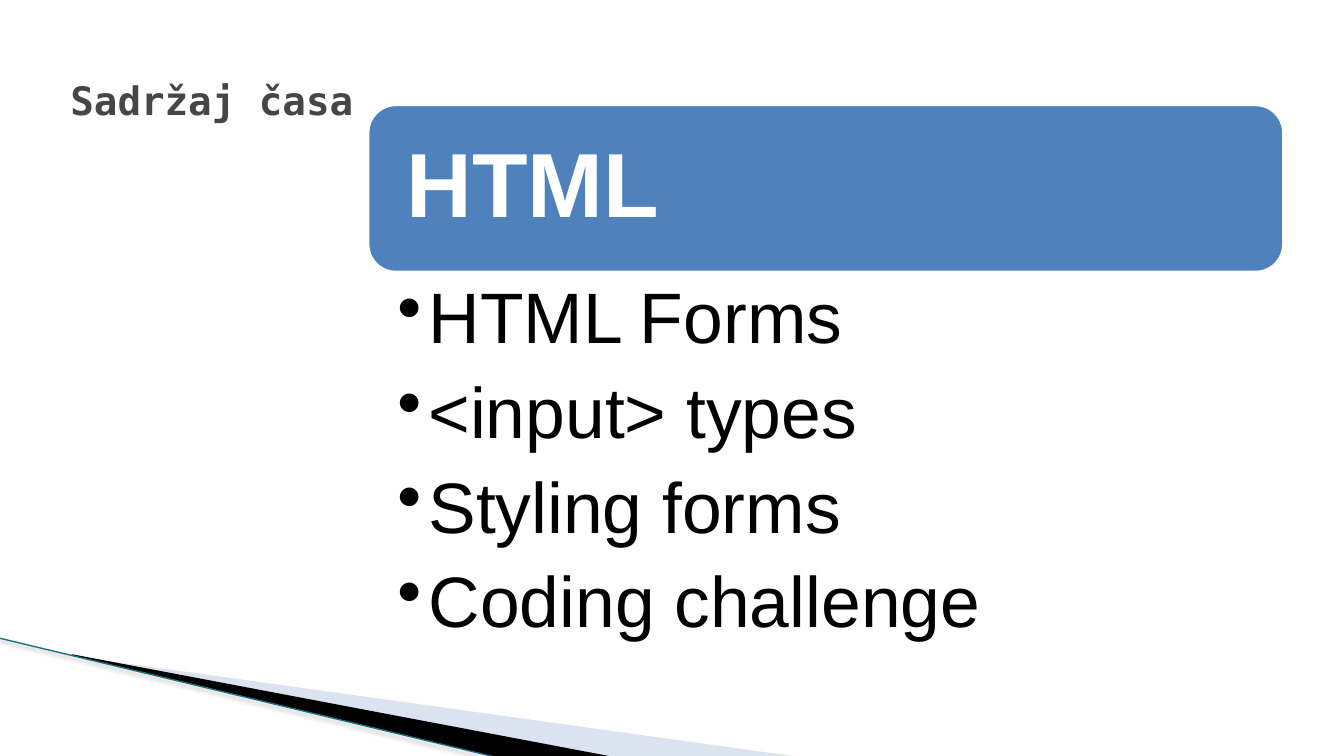
from lxml.etree import SubElement
from pptx import Presentation
from pptx.dml.color import RGBColor
from pptx.enum.shapes import MSO_CONNECTOR, MSO_SHAPE
from pptx.enum.text import MSO_ANCHOR, PP_ALIGN
from pptx.oxml import parse_xml
from pptx.oxml.ns import nsdecls, qn
from pptx.util import Inches, Pt

TITLE = "Sadržaj časa"
HEAD = "HTML"
TOPICS = ["HTML Forms", "<input> types", "Styling forms", "Coding challenge"]

# Outline points, fill colour, opacity in percent
WEDGES = [
    ([(0.73, 6.51), (7.93, 7.51), (6.08, 7.51), (0.73, 6.5)], "A7B9DB", 40),
    ([(0.71, 6.49), (6.09, 7.51), (4.96, 7.52), (0.72, 6.5)], "000000", 100),
]
EDGE = (-0.01, 6.33, 4.95, 7.52)

LEFT, WIDTH = 3.65, 9.08
HEAD_TOP, HEAD_HIGH = 1.04, 1.66
LIST_TOP, LIST_HIGH = 2.71, 3.61
INDENT = 0.31


def paint(target, color):
    """Give a fill or a line a solid colour."""
    fill = getattr(target, "fill", target)
    fill.solid()
    fill.fore_color.rgb = RGBColor.from_string(color)


def write(frame, lines, size, color, font="Arial", bold=False, inset=(0.1, 0.05, 0.1, 0.05)):
    frame.word_wrap = True
    (frame.margin_left, frame.margin_top,
     frame.margin_right, frame.margin_bottom) = map(Inches, inset)
    frame.text = "\n".join(lines)
    for para in frame.paragraphs:
        para.alignment = PP_ALIGN.LEFT
        for run in para.runs:
            run.font.name, run.font.size, run.font.bold = font, Pt(size), bold
            paint(run.font, color)


def add_wedge(shapes, points, color, alpha):
    points = [(Inches(x), Inches(y)) for x, y in points]
    form = shapes.build_freeform(*points[0])
    form.add_line_segments(points[1:], close=True)
    wedge = form.convert_to_shape()
    wedge.shadow.inherit = False
    paint(wedge.fill, color)
    wedge.line.fill.background()
    if alpha < 100:
        tone = wedge.fill._xPr.find(qn("a:solidFill"))[0]
        SubElement(tone, qn("a:alpha"), val=str(alpha * 1000))


def add_edge(shapes):
    edge = shapes.add_connector(MSO_CONNECTOR.STRAIGHT, *map(Inches, EDGE))
    paint(edge.line, "196F85")
    edge.line.width = Pt(0.96)
    edge._element.spPr.append(parse_xml(
        f'<a:effectLst {nsdecls("a")}>'
        f'<a:outerShdw blurRad="{Pt(3.1)}" dist="{Pt(1.6)}" dir="5400000">'
        '<a:srgbClr val="000000"><a:alpha val="38000"/></a:srgbClr>'
        '</a:outerShdw></a:effectLst>'))


def add_title(shapes):
    box = shapes.add_textbox(*map(Inches, (0.6, 0.27, 11.41, 1.45)))
    box.text_frame.vertical_anchor = MSO_ANCHOR.MIDDLE
    write(box.text_frame, [TITLE], 28, "464646", "DejaVu Sans Mono", True)


def add_head(shapes):
    place = map(Inches, (LEFT, HEAD_TOP, WIDTH, HEAD_HIGH))
    bar = shapes.add_shape(MSO_SHAPE.ROUNDED_RECTANGLE, *place)
    bar.shadow.inherit = False
    paint(bar.fill, "4F81BD")
    paint(bar.line, "FFFFFF")
    bar.line.width = Pt(2)
    frame = bar.text_frame
    frame.vertical_anchor = MSO_ANCHOR.MIDDLE
    write(frame, [HEAD], 65, "FFFFFF", bold=True, inset=(0.3, 0.27, 0.3, 0.27))
    frame.paragraphs[0].line_spacing = 0.9


def add_topics(shapes):
    place = map(Inches, (LEFT, LIST_TOP, WIDTH, LIST_HIGH))
    frame = shapes.add_textbox(*place).text_frame
    write(frame, TOPICS, 51, "000000", inset=(0.29, 0.09, 0.51, 0.09))
    for para in frame.paragraphs:
        para.level = 1
        para.line_spacing = 0.9
        para.space_after = Pt(12.5)
        props = para._p.get_or_add_pPr()
        props.set("marL", str(Inches(INDENT)))
        props.set("indent", str(Inches(-INDENT)))
        SubElement(props, qn("a:buChar"), char="•")


def main():
    deck = Presentation()
    deck.slide_width, deck.slide_height = Inches(13.33), Inches(7.5)
    slide = deck.slides.add_slide(deck.slide_layouts[6])
    paint(slide.background.fill, "FFFFFF")
    for wedge in WEDGES:
        add_wedge(slide.shapes, *wedge)
    for add in (add_edge, add_title, add_head, add_topics):
        add(slide.shapes)
    deck.save("out.pptx")


if __name__ == "__main__":
    main()
